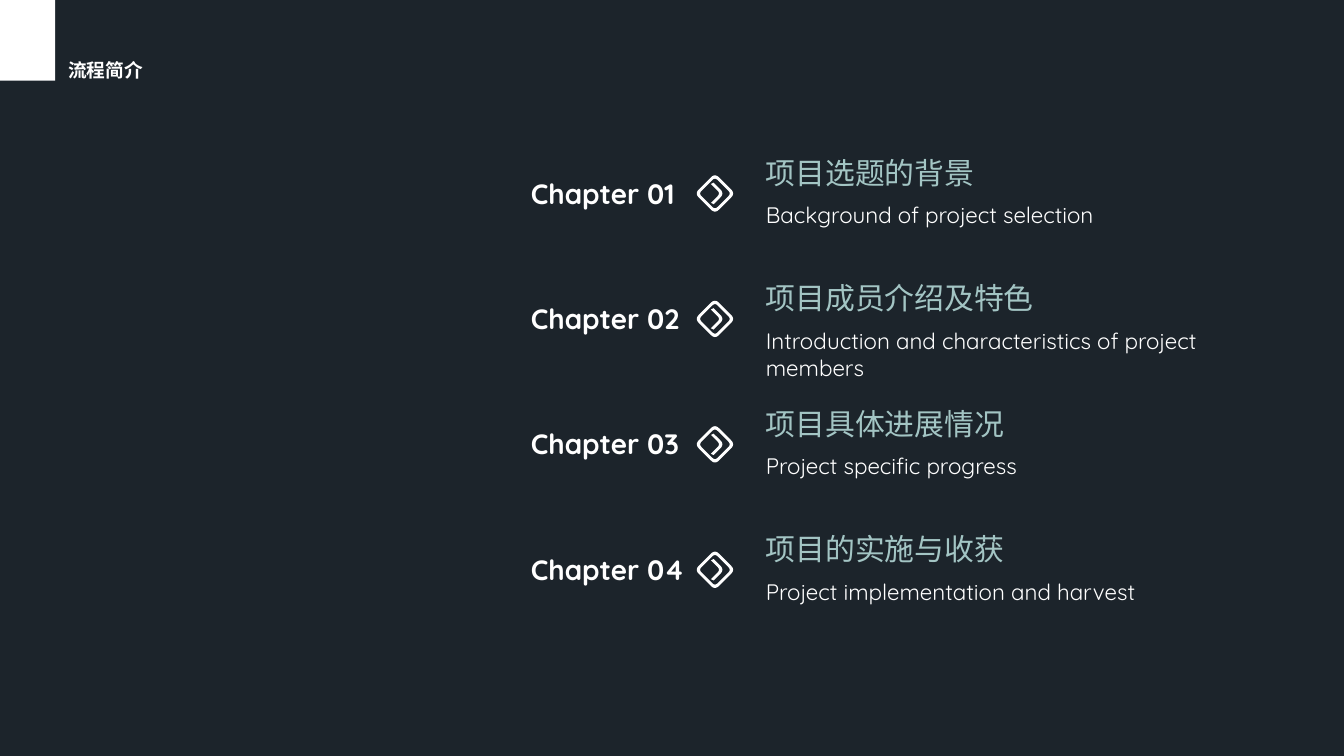
import pptx
import pptx.dml.color
import pptx.enum.shapes
import pptx.enum.text
import pptx.util

Inches = pptx.util.Inches

WHITE = "FFFFFF"
TEAL = "A3C5C4"
NIGHT = "1C242B"

CHAPTERS = [
    ("项目选题的背景", "Background of project selection", 0.3),
    ("项目成员介绍及特色", "Introduction and characteristics of project members", 0.5),
    ("项目具体进展情况", "Project specific progress", 0.3),
    ("项目的实施与收获", "Project implementation and harvest", 0.3),
]
FIRST_CENTRE = 1.44
LAST_CENTRE = 4.24
PITCH = (LAST_CENTRE - FIRST_CENTRE) / (len(CHAPTERS) - 1)


def colour(code):
    return pptx.dml.color.RGBColor.from_string(code)


def corner(start, tip, end, steps=6):
    points = []
    for step in range(steps + 1):
        t = step / steps
        points.append(tuple(
            (1 - t) ** 2 * a + 2 * t * (1 - t) * b + t ** 2 * c
            for a, b, c in zip(start, tip, end)
        ))
    return points


def rounded_diamond(tip, cut):
    points = []
    for x, y in ((0, -1), (1, 0), (0, 1), (-1, 0)):
        near = tip - cut
        start = (x * near + y * cut, y * near - x * cut)
        end = (x * near - y * cut, y * near + x * cut)
        points += corner(start, (x * tip, y * tip), end)
    return points


def chevron():
    outer = corner((0.04, -0.03), (0.07, 0), (0.04, 0.03))
    inner = corner((0.02, 0.02), (0.04, 0), (0.02, -0.02))
    return [(-0.01, -0.08), *outer, (-0.01, 0.08), (-0.03, 0.07), *inner, (-0.03, -0.07)]


class ChapterPage:
    """Holds the text style and the current slide, and draws its elements."""

    font = "Quicksand"

    def __init__(self, page, background):
        self.page = page
        page.background.fill.solid()
        page.background.fill.fore_color.rgb = colour(background)

    def paint(self, shape, fill):
        shape.shadow.inherit = False
        shape.fill.solid()
        shape.fill.fore_color.rgb = colour(fill)
        shape.line.fill.background()

    def rectangle(self, left, top, width, height, fill):
        kind = pptx.enum.shapes.MSO_SHAPE.RECTANGLE
        sizes = map(Inches, (left, top, width, height))
        self.paint(self.page.shapes.add_shape(kind, *sizes), fill)

    def outline(self, centre_x, centre_y, contours, fill):
        builder = None
        for contour in contours:
            points = [(Inches(centre_x + x), Inches(centre_y + y)) for x, y in contour]
            if builder is None:
                builder = self.page.shapes.build_freeform(*points[0])
            else:
                builder.move_to(*points[0])
            builder.add_line_segments(points[1:], close=True)
        self.paint(builder.convert_to_shape(), fill)

    def text(self, left, top, width, height, words, size, ink,
             bold=False, wrap=True, insets=(0.1, 0.05), spacing=None):
        box = self.page.shapes.add_textbox(*map(Inches, (left, top, width, height)))
        frame = box.text_frame
        frame.text = words
        frame.word_wrap = wrap
        frame.auto_size = pptx.enum.text.MSO_AUTO_SIZE.SHAPE_TO_FIT_TEXT
        frame.margin_left = frame.margin_right = Inches(insets[0])
        frame.margin_top = frame.margin_bottom = Inches(insets[1])
        para = frame.paragraphs[0]
        if spacing:
            para.line_spacing = spacing
        font = para.runs[0].font
        font.name = self.font
        font.size = pptx.util.Pt(size)
        font.bold = bold
        font.color.rgb = colour(ink)

    def chapter(self, number, title, subtitle, subtitle_height, centre):
        self.text(3.88, centre - 0.17, 1.3, 0.33, f"Chapter {number:02d}", 15, WHITE,
                  bold=True, wrap=False, insets=(0.07, 0.04))
        self.text(5.6, centre - 0.34, 2.37, 0.37, title, 16, TEAL)
        self.text(5.6, centre + 0.01, 3.43, subtitle_height, subtitle, 12, WHITE)
        self.outline(5.32, centre, [chevron()], WHITE)
        ring = [rounded_diamond(0.15, 0.03), rounded_diamond(0.12, 0.02)[::-1]]
        self.outline(5.32, centre, ring, WHITE)


def main():
    deck = pptx.Presentation()
    deck.slide_width = Inches(10)
    deck.slide_height = Inches(10 * 9 / 16)
    agenda = ChapterPage(deck.slides.add_slide(deck.slide_layouts[6]), NIGHT)
    agenda.rectangle(0, 0, 0.41, 0.6, WHITE)
    agenda.text(0.41, 0.41, 2.41, 0.26, "流程简介", 10, WHITE, bold=True, spacing=0.9)
    for index, (title, subtitle, height) in enumerate(CHAPTERS):
        agenda.chapter(index + 1, title, subtitle, height, FIRST_CENTRE + index * PITCH)
    deck.save("out.pptx")


if __name__ == "__main__":
    main()
